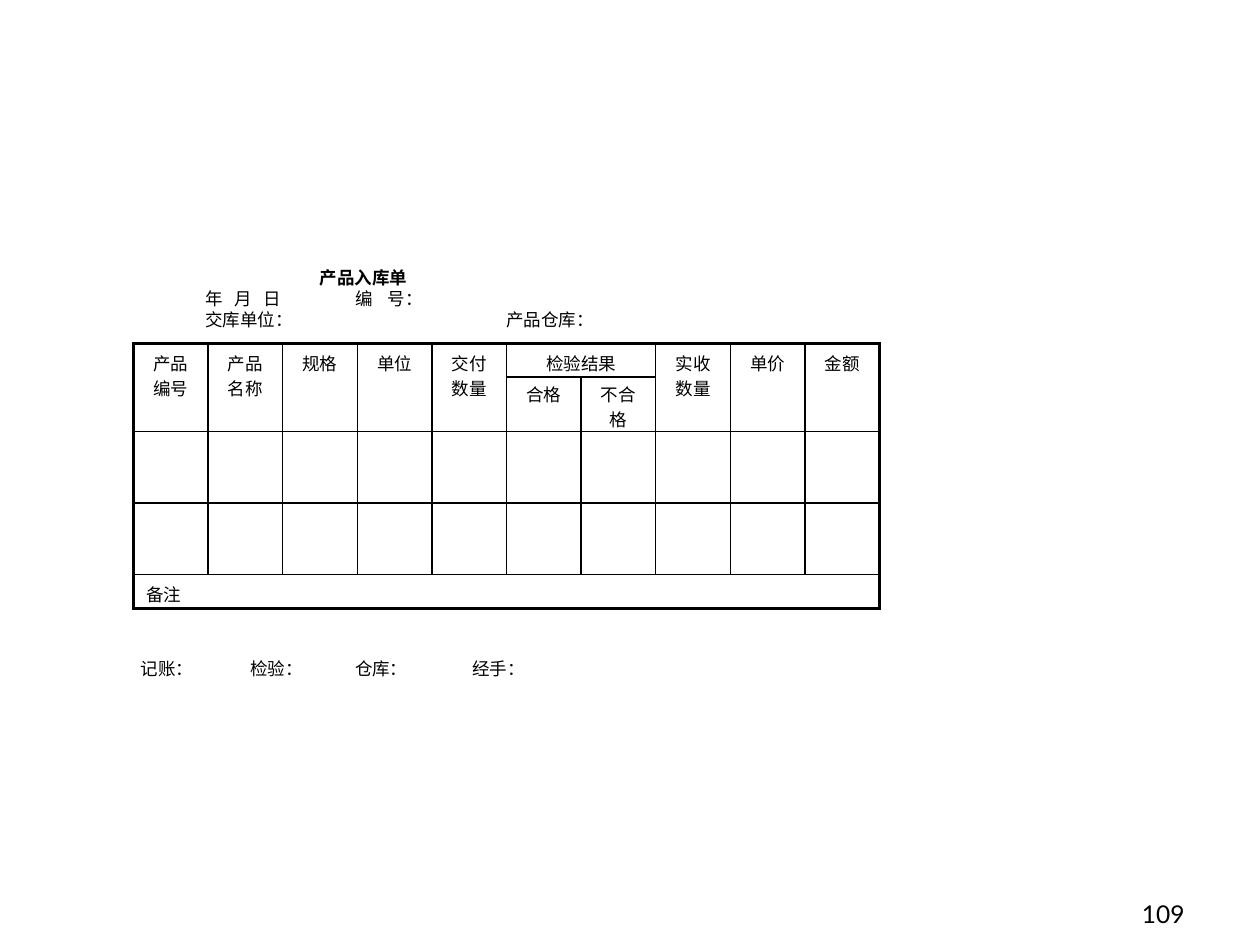
from pptx import Presentation
from pptx.dml.color import RGBColor as Rgb
from pptx.enum.text import MSO_ANCHOR as Anchor, PP_ALIGN as Align
from pptx.oxml import parse_xml as to_xml
from pptx.oxml.ns import nsdecls
from pptx.util import Cm, Pt

HEADS = ["产品\n编号", "产品\n名称", "规格", "单位", "交付\n数量",
         "检验结果", "", "实收\n数量", "单价", "金额"]
ROWS = [0.67, 1.1, 1.44, 1.44, 0.68]


def color(code):
    return Rgb.from_string(code)


class Form:
    def __init__(self, slide):
        self.slide = slide
        self.font = "Noto Sans CJK SC"
        self.ink = "000000"
        self.size = 10

    def style(self, para, size=None, font=None, bold=False):
        for run in para.runs:
            run.font.size = Pt(size or self.size)
            run.font.name = font or self.font
            run.font.bold = bold
            run.font.color.rgb = color(self.ink)
            run.font._element.append(to_xml(
                f'<a:ea {nsdecls("a")} typeface="{font or self.font}"/>'))

    def box(self, left, top, width, height, anchor):
        shape = self.slide.shapes.add_textbox(Cm(left), Cm(top), Cm(width), Cm(height))
        frame = shape.text_frame
        frame.word_wrap = True
        frame.vertical_anchor = anchor
        return frame

    def tabs(self, para, stops):
        marks = "".join(f'<a:tab pos="{Cm(stop)}" algn="l"/>' for stop in stops)
        para._p.get_or_add_pPr().append(to_xml(
            f'<a:tabLst {nsdecls("a")}>{marks}</a:tabLst>'))

    def lines(self, place, items, anchor, inset=0.25):
        frame = self.box(*place, anchor)
        frame.margin_left = Cm(inset)
        frame.text = "\n".join(text for text, _, _ in items)
        for para, (_, stops, bold) in zip(frame.paragraphs, items):
            if stops:
                self.tabs(para, stops)
            para.line_spacing = Pt(12)
            self.style(para, bold=bold)

    def number(self, place, text):
        frame = self.box(*place, Anchor.BOTTOM)
        frame.text = text
        frame.paragraphs[0].alignment = Align.RIGHT
        self.style(frame.paragraphs[0], 14, "Lato")

    def grid(self, left, top, width, rows, count):
        shape = self.slide.shapes.add_table(
            len(rows), count, Cm(left), Cm(top), Cm(width), Cm(sum(rows)))
        table = shape.table
        table.first_row = table.horz_banding = False
        for col in table.columns:
            col.width = Cm(width / count)
        for row, high in zip(table.rows, rows):
            row.height = Cm(high)
        return table

    def label(self, cell, text, align=Align.CENTER, top=0.13):
        cell.text = text
        cell.margin_top = Cm(top)
        cell.margin_bottom = Cm(0)
        for para in cell.text_frame.paragraphs:
            para.alignment = align
            self.style(para)

    def rule(self, table):
        high, wide = len(table.rows), len(table.columns)
        for y in range(high):
            for x in range(wide):
                cell = table.cell(y, x)
                cell.fill.background()
                if cell.is_spanned:
                    continue
                right = x + (cell.span_width if cell.is_merge_origin else 1)
                base = y + (cell.span_height if cell.is_merge_origin else 1)
                edges = {"L": x == 0, "R": right == wide, "T": y == 0, "B": base == high}
                for i, (side, outer) in enumerate(edges.items()):
                    cell._tc.get_or_add_tcPr().insert(i, to_xml(
                        f'<a:ln{side} {nsdecls("a")} w="{Pt(2 if outer else 1)}">'
                        f'<a:solidFill><a:srgbClr val="{self.ink}"/></a:solidFill>'
                        f'</a:ln{side}>'))


def main():
    deck = Presentation()
    deck.slide_width, deck.slide_height = Cm(25.4), Cm(19.05)
    form = Form(deck.slides.add_slide(deck.slide_layouts[6]))

    form.number((18.85, 17.58, 5.28, 1.27), "109")
    form.lines((2.59, 5.26, 15.39, 2.54), [
        ("\t产品入库单", [2.31], True),
        ("年\t月\t日\t编\t号：", [0.58, 1.17, 3.02, 3.68], False),
        ("交库单位：\t产品仓库：", [6.07], False),
    ], Anchor.TOP, 1.55)

    table = form.grid(2.69, 6.93, 15.04, ROWS, len(HEADS))
    for x, text in enumerate(HEADS):
        if x not in (5, 6):
            table.cell(0, x).merge(table.cell(1, x))
        if text:
            form.label(table.cell(0, x), text)
    table.cell(0, 5).merge(table.cell(0, 6))
    for x, text in ((5, "合格"), (6, "不合格")):
        form.label(table.cell(1, x), text, top=0.08)
    table.cell(4, 0).merge(table.cell(4, 9))
    form.label(table.cell(4, 0), "备注", Align.LEFT)
    form.rule(table)

    form.lines((2.59, 13.13, 14.33, 0.69), [
        ("记账：\t检验：\t仓库：\t经手：", [2.21, 4.32, 6.68], False),
    ], Anchor.MIDDLE)
    deck.save("out.pptx")


if __name__ == "__main__":
    main()
